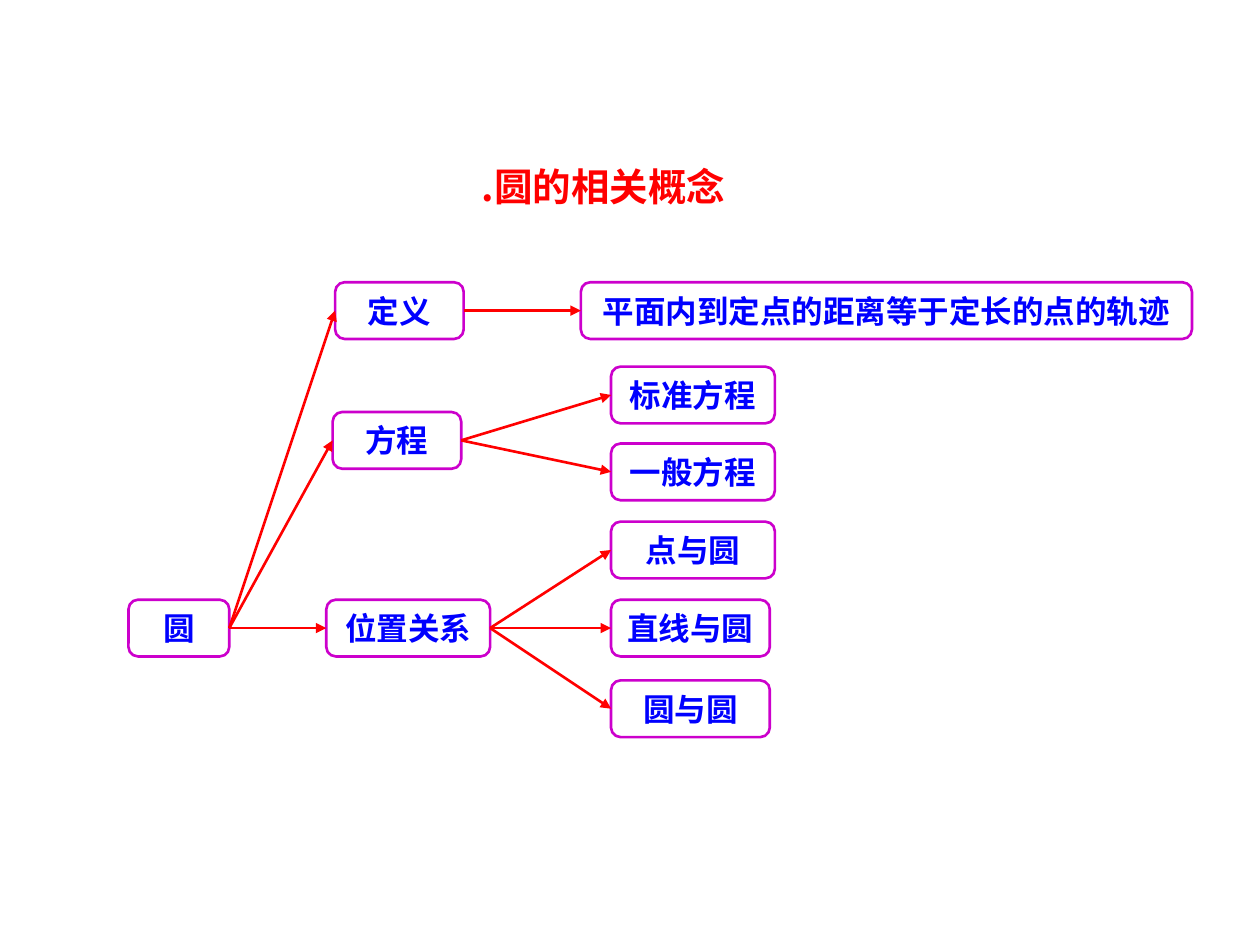
from lxml import etree
from pptx import Presentation
from pptx.dml.color import RGBColor
from pptx.enum.shapes import MSO_CONNECTOR, MSO_SHAPE
from pptx.enum.text import MSO_ANCHOR, MSO_AUTO_SIZE, PP_ALIGN
from pptx.oxml.ns import qn
from pptx.util import Inches, Pt

CJK_FONT = "Noto Sans CJK SC"
BOX_HEIGHT = 0.45


def rgb(value):
    return RGBColor.from_string(value)


def format_text(tf, size, latin, color, anchor):
    tf.word_wrap = True
    tf.auto_size = MSO_AUTO_SIZE.SHAPE_TO_FIT_TEXT
    tf.vertical_anchor = anchor
    p = tf.paragraphs[0]
    p.alignment = PP_ALIGN.CENTER
    r = p.runs[0]
    r.font.size = Pt(size)
    r.font.bold = True
    r.font.name = latin
    r.font.color.rgb = rgb(color)
    ea = etree.SubElement(r.font._element, qn("a:ea"))
    ea.set("typeface", CJK_FONT)


prs = Presentation()
prs.slide_width, prs.slide_height = Inches(10), Inches(7.5)
s = prs.slides.add_slide(prs.slide_layouts[5])

# Title
title = s.shapes.title
title.left, title.top = Inches(0.65), Inches(1.1)
title.width, title.height = Inches(8.28), Inches(0.62)
title.text_frame.text = ".圆的相关概念"
format_text(title.text_frame, 22, CJK_FONT, "FF0000", MSO_ANCHOR.TOP)
title.text_frame.paragraphs[0].line_spacing = 1.4

# Concept boxes: text, left, top, width
boxes = [
    ("圆", 1.02, 4.76, 0.8),
    ("定义", 2.66, 2.24, 1.02),
    ("平面内到定点的距离等于定长的点的轨迹", 4.61, 2.24, 4.85),
    ("标准方程", 4.85, 2.91, 1.3),
    ("一般方程", 4.85, 3.52, 1.3),
    ("点与圆", 4.85, 4.14, 1.3),
    ("直线与圆", 4.85, 4.76, 1.26),
    ("圆与圆", 4.85, 5.4, 1.26),
    ("方程", 2.64, 3.27, 1.02),
    ("位置关系", 2.59, 4.76, 1.3),
]
nodes = {}
for text, left, top, width in boxes:
    sp = s.shapes.add_shape(MSO_SHAPE.ROUNDED_RECTANGLE, Inches(left), Inches(top),
                            Inches(width), Inches(BOX_HEIGHT))
    sp.shadow.inherit = False
    sp.fill.background()
    sp.line.color.rgb = rgb("CC00CC")
    sp.line.width = Pt(1.5)
    sp.text_frame.text = text
    format_text(sp.text_frame, 18, "Arial", "0000FF", MSO_ANCHOR.MIDDLE)
    nodes[text] = sp

# Arrows from the right side of each parent to the left side of its children
branches = {
    "圆": ["定义", "方程", "位置关系"],
    "定义": ["平面内到定点的距离等于定长的点的轨迹"],
    "方程": ["标准方程", "一般方程"],
    "位置关系": ["点与圆", "直线与圆", "圆与圆"],
}
LEFT_SITE, RIGHT_SITE = 1, 3
for parent, children in branches.items():
    for child in children:
        arrow = s.shapes.add_connector(MSO_CONNECTOR.STRAIGHT, 0, 0, 0, 0)
        arrow.begin_connect(nodes[parent], RIGHT_SITE)
        arrow.end_connect(nodes[child], LEFT_SITE)
        arrow.line.color.rgb = rgb("FF0000")
        arrow.line.width = Pt(1.5)
        ln = arrow.line._get_or_add_ln()
        etree.SubElement(ln, qn("a:tailEnd")).set("type", "triangle")
        etree.SubElement(arrow._element.spPr, qn("a:effectLst"))

prs.save("out.pptx")
